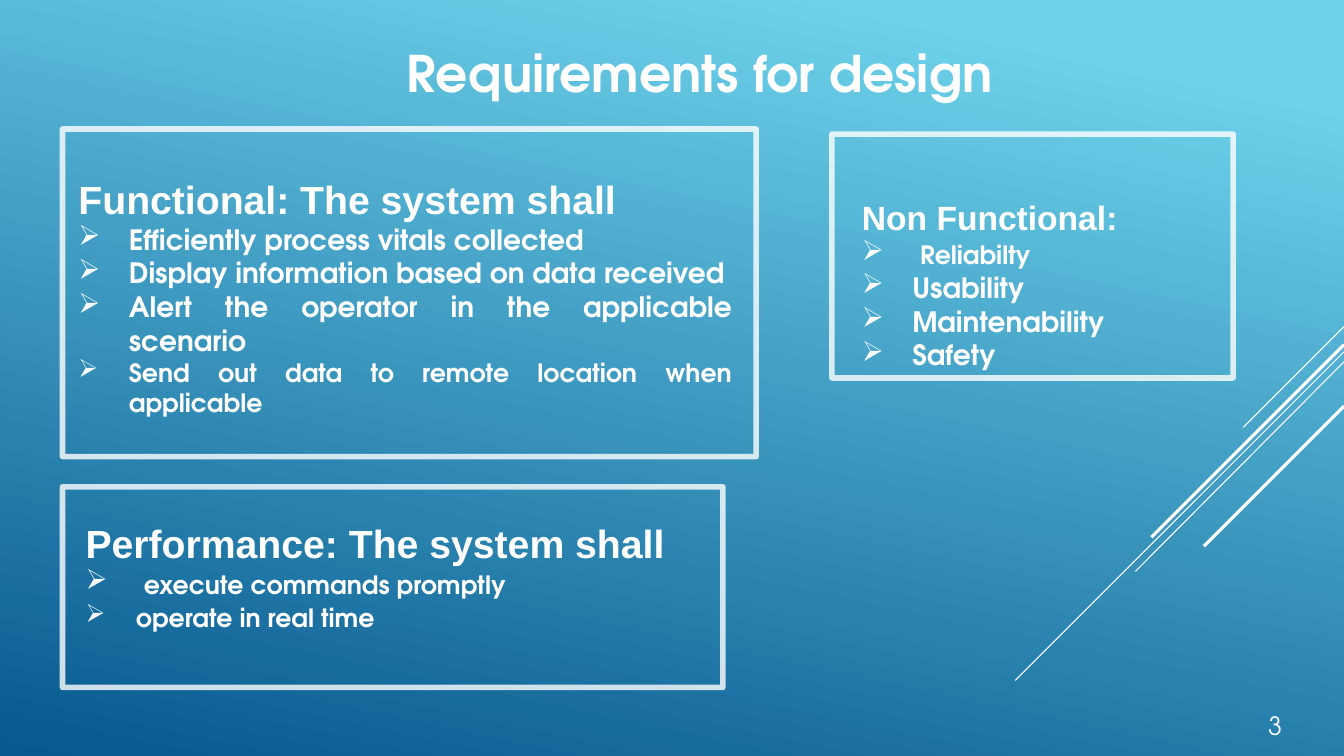
"""Build the slide 'Requirements for design'."""
from pptx import Presentation
from pptx.dml.color import RGBColor
from pptx.enum.shapes import MSO_CONNECTOR, MSO_SHAPE
from pptx.enum.text import PP_ALIGN as Align
from pptx.oxml.ns import qn
from pptx.util import Inches, Pt
from lxml.etree import SubElement

WHITE = RGBColor(0xFF, 0xFF, 0xFF)
SKY = RGBColor(0x6E, 0xD2, 0xEB)
NAVY = RGBColor(0x06, 0x58, 0x8E)
HEADING_FONT = "Arial"
BODY_FONT = "TeX Gyre Adventor"


def add_text_box(left, top, width, height):
    box = slide.shapes.add_textbox(Inches(left), Inches(top), Inches(width), Inches(height))
    box.text_frame.word_wrap = True
    return box.text_frame


def add_run(paragraph, text, size, name=BODY_FONT, bold=True):
    run = paragraph.add_run()
    run.text = text
    for key, value in {"size": Pt(size), "name": name, "bold": bold}.items():
        setattr(run.font, key, value)
    run.font.color.rgb = WHITE


presentation = Presentation()
presentation.slide_width = Inches(13.33)
presentation.slide_height = Inches(7.5)
slide = presentation.slides.add_slide(presentation.slide_layouts[6])

background = slide.background.fill
background.gradient()
background.gradient_angle = 360 - 102
for stop, position, color in zip(background.gradient_stops, (0.1, 1), (SKY, NAVY)):
    stop.position = position
    stop.color.rgb = color

DIAGONALS = [
    (3.24, 12.33, 4.24, 0.75),
    (3.49, 10.07, 6.75, 0.75),
    (3.59, 11.26, 5.67, 0.75),
    (3.42, 11.42, 5.33, 2.25),
    (4.03, 11.94, 5.42, 2.25),
]
for start_y, end_x, end_y, weight in DIAGONALS:
    diagonal = slide.shapes.add_connector(
        MSO_CONNECTOR.STRAIGHT, Inches(13.33), Inches(start_y), Inches(end_x), Inches(end_y))
    diagonal.line.color.rgb = WHITE
    diagonal.line.width = Pt(weight)
    SubElement(diagonal.element.spPr, qn("a:effectLst"))

FRAMES = [(0.62, 1.28, 6.88, 3.25), (8.25, 1.33, 3.98, 2.42), (0.62, 4.83, 6.55, 1.99)]
for bounds in FRAMES:
    frame = slide.shapes.add_shape(MSO_SHAPE.RECTANGLE, *map(Inches, bounds))
    frame.shadow.inherit = False
    frame.fill.background()
    frame.line.color.rgb = WHITE
    frame.line.width = Pt(4)
    line_color = frame.element.spPr.find(qn("a:ln")).find(".//" + qn("a:srgbClr"))
    SubElement(line_color, qn("a:alpha"), val="80000")

title = add_text_box(3.37, 0.37, 7.14, 0.71).paragraphs[0]
title.alignment = Align.CENTER
add_run(title, "Requirements for design", 36)
add_run(add_text_box(12.48, 7, 0.8, 0.4).paragraphs[0], "3", 18, bold=False)

SPACE = (" ", 20)
SECTIONS = [
    ((0.68, 1.69, 6.68, 2.8), "Functional: The system shall", 28, [
        [("Efficiently process vitals collected", 20)],
        [("Display information based on data received", 20)],
        [("Alert the operator in the applicable scenario", 20)],
        [("Send out data to remote location when applicable", 18)],
    ]),
    ((0.75, 5.1, 6.55, 1.6), "Performance: The system shall", 28, [
        [SPACE, ("execute commands promptly", 18), SPACE],
        [("operate in real time", 18), SPACE],
    ]),
    ((8.45, 1.9, 3.1, 1.85), "Non Functional:", 24, [
        [SPACE, ("Reliabilty", 18), SPACE],
        [("Usability", 20)],
        [("Maintenability", 20)],
        [("Safety", 20)],
    ]),
]
for bounds, heading, heading_size, items in SECTIONS:
    text_frame = add_text_box(*bounds)
    add_run(text_frame.paragraphs[0], heading, heading_size, HEADING_FONT)
    for item in items:
        paragraph = text_frame.add_paragraph()
        paragraph.alignment = Align.JUSTIFY
        properties = paragraph._p.get_or_add_pPr()
        properties.set("marL", str(Inches(0.5)))
        properties.set("indent", str(Inches(-0.5)))
        SubElement(properties, qn("a:buChar"), char="➢")
        for text, size in item:
            add_run(paragraph, text, size)

presentation.save("out.pptx")
